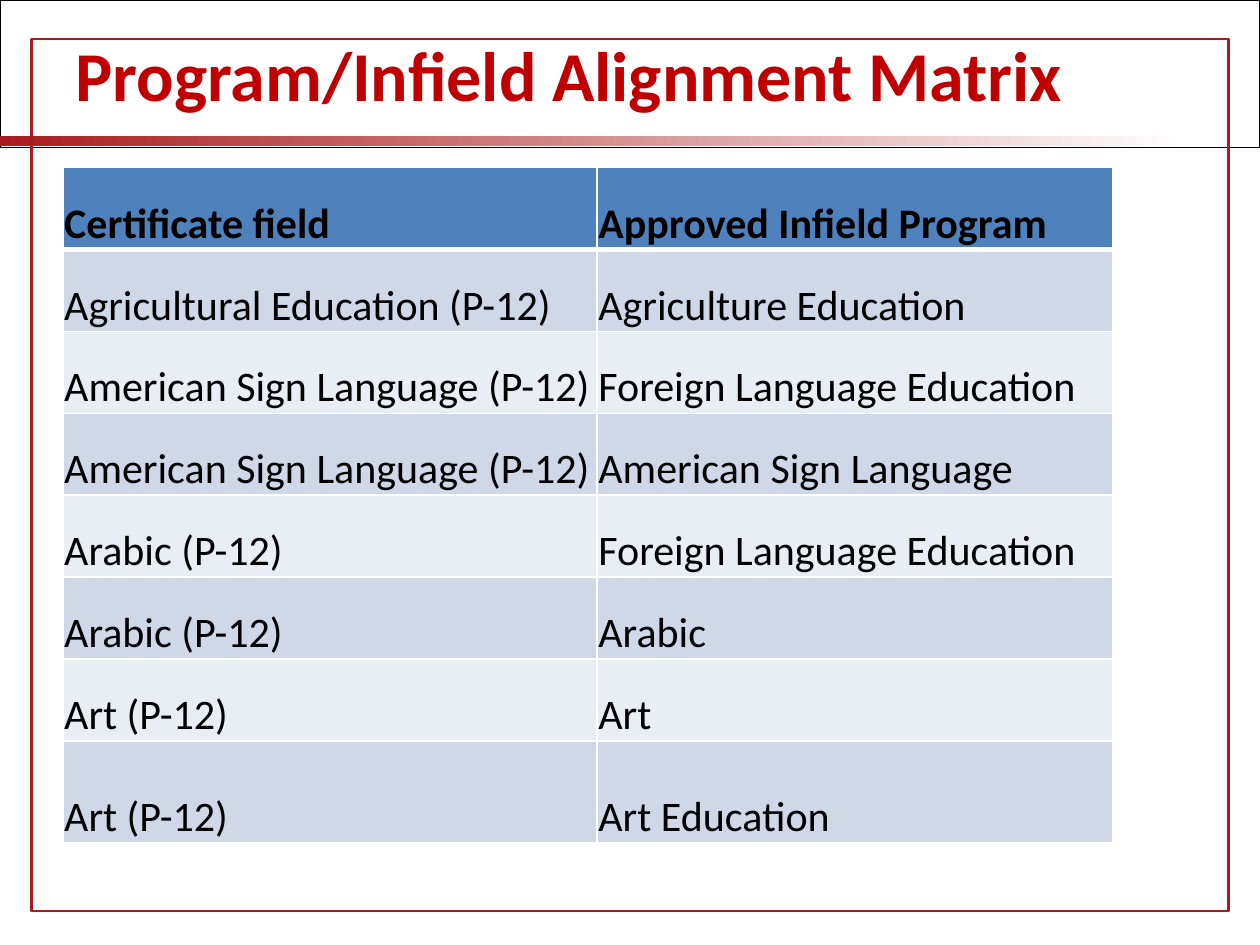
from typing import NamedTuple

from lxml.etree import SubElement
from pptx import Presentation
from pptx.dml.color import RGBColor
from pptx.enum.shapes import MSO_SHAPE as Preset
from pptx.enum.text import MSO_ANCHOR as Anchor, MSO_AUTO_SIZE as AutoSize, PP_ALIGN as Align
from pptx.oxml.ns import qn
from pptx.util import Inches, Pt

WIDTH, HEIGHT = Inches(10), Inches(7.5)
FONT = "Calibri"
BLACK = RGBColor(0x00, 0x00, 0x00)
WHITE = RGBColor(0xFF, 0xFF, 0xFF)
TITLE_RED = RGBColor(0xC0, 0x00, 0x00)
FRAME_RED = RGBColor(0xA7, 0x1C, 0x1F)
HEADER_BLUE = RGBColor(0x4F, 0x81, 0xBD)
BANDS = RGBColor(0xD0, 0xD8, 0xE8), RGBColor(0xE9, 0xED, 0xF4)

COLUMN_WIDTHS = Inches(4.24), Inches(4.09)
ROW_HEIGHT, LAST_ROW_HEIGHT = Inches(0.65), Inches(0.81)


class Box(NamedTuple):
    """Position and size as shares of the slide's width and height."""

    left: float
    top: float
    width: float
    height: float

    def lengths(self) -> tuple[int, int, int, int]:
        """Return left, top, width and height as slide lengths."""
        return (int(self.left * WIDTH), int(self.top * HEIGHT),
                int(self.width * WIDTH), int(self.height * HEIGHT))


class Match(NamedTuple):
    """A certificate field and the program approved for it."""

    field: str
    program: str


TITLE_BOX = Box(0, 0, 1, 1.17 / 7.5)
TABLE_BOX = Box(0.05, 1.33 / 7.5, 0.833, 5.33 / 7.5)
RULE_BOX = Box(0, 1.08 / 7.5, 0.942, 0.08 / 7.5)
FRAME_BOX = Box(0.025, 0.31 / 7.5, 0.95, 6.92 / 7.5)

MATCHES = [
    Match("Certificate field", "Approved Infield Program"),
    Match("Agricultural Education (P-12)", "Agriculture Education"),
    Match("American Sign Language (P-12)", "Foreign Language Education"),
    Match("American Sign Language (P-12)", "American Sign Language"),
    Match("Arabic (P-12)", "Foreign Language Education"),
    Match("Arabic (P-12)", "Arabic"),
    Match("Art (P-12)", "Art"),
    Match("Art (P-12)", "Art Education"),
]


def add_run(paragraph, text: str, size: float, color: RGBColor, bold: bool) -> None:
    """Add one formatted run to a paragraph."""
    run = paragraph.add_run()
    run.text = text
    run.font.name = FONT
    run.font.size = Pt(size)
    run.font.bold = bold
    run.font.color.rgb = color


def set_title(slide, text: str) -> None:
    """Move, outline and fill the title placeholder."""
    title = slide.shapes.title
    title.left, title.top, title.width, title.height = TITLE_BOX.lengths()
    title.line.color.rgb = BLACK
    title.line.width = Pt(0.75)
    frame = title.text_frame
    frame.word_wrap = True
    frame.auto_size = AutoSize.NONE
    frame.vertical_anchor = Anchor.MIDDLE
    paragraph = frame.paragraphs[0]
    paragraph.alignment = Align.LEFT
    paragraph._p.get_or_add_pPr().set("marL", str(Inches(0.5)))
    add_run(paragraph, text, 40, TITLE_RED, True)


def set_borders(cell, bottom: float) -> None:
    """Draw white borders around a cell, with the given bottom weight."""
    properties = cell._tc.get_or_add_tcPr()
    weights = {"lnL": 1, "lnR": 1, "lnT": 1, "lnB": bottom}
    for index, (side, weight) in enumerate(weights.items()):
        border = SubElement(properties, qn(f"a:{side}"), w=str(Pt(weight)))
        fill = SubElement(border, qn("a:solidFill"))
        SubElement(fill, qn("a:srgbClr"), val=str(WHITE))
        properties.insert(index, border)


def fill_cell(cell, text: str, row: int) -> None:
    """Write and format one cell of the matrix."""
    header = row == 0
    cell.margin_left = cell.margin_top = cell.margin_right = Inches(0.01)
    cell.margin_bottom = 0
    cell.vertical_anchor = Anchor.BOTTOM
    cell.fill.solid()
    cell.fill.fore_color.rgb = HEADER_BLUE if header else BANDS[(row - 1) % 2]
    set_borders(cell, 3 if row == 0 else 1)
    add_run(cell.text_frame.paragraphs[0], text, 24, BLACK, header)


def add_matrix(slide, matches: list[Match]) -> None:
    """Add the table of fields and programs."""
    table = slide.shapes.add_table(len(matches), len(COLUMN_WIDTHS), *TABLE_BOX.lengths()).table
    for column, width in zip(table.columns, COLUMN_WIDTHS):
        column.width = width
    for row, match in enumerate(matches):
        table.rows[row].height = LAST_ROW_HEIGHT if row == len(matches) - 1 else ROW_HEIGHT
        for column, text in enumerate(match):
            fill_cell(table.cell(row, column), text, row)


def add_rectangle(slide, box: Box):
    """Add a rectangle without a shadow."""
    shape = slide.shapes.add_shape(Preset.RECTANGLE, *box.lengths())
    shape.shadow.inherit = False
    return shape


def add_rule(slide) -> None:
    """Add the fading bar under the title."""
    rule = add_rectangle(slide, RULE_BOX)
    rule.line.fill.background()
    rule.fill.gradient()
    rule.fill.gradient_angle = 0
    for stop, color in zip(rule.fill.gradient_stops, (FRAME_RED, WHITE)):
        stop.color.rgb = color


def add_frame(slide) -> None:
    """Add the outline around the slide."""
    frame = add_rectangle(slide, FRAME_BOX)
    frame.fill.background()
    frame.line.color.rgb = FRAME_RED
    frame.line.width = Pt(1.5)


def main() -> None:
    """Build and save the slide."""
    presentation = Presentation()
    presentation.slide_width, presentation.slide_height = WIDTH, HEIGHT
    slide = presentation.slides.add_slide(presentation.slide_layouts[5])
    set_title(slide, "Program/Infield Alignment Matrix")
    add_matrix(slide, MATCHES)
    add_rule(slide)
    add_frame(slide)
    presentation.save("out.pptx")


if __name__ == "__main__":
    main()
